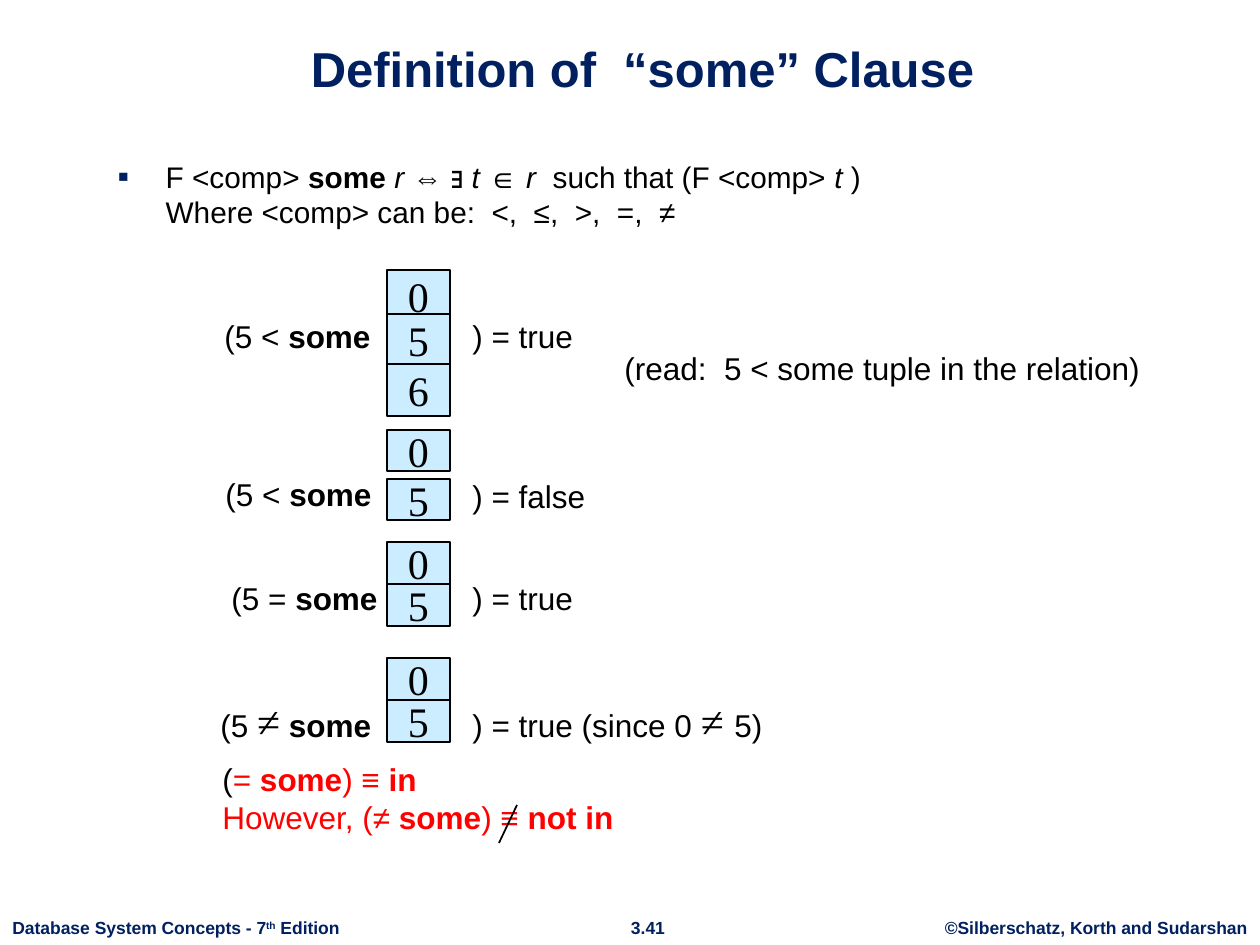
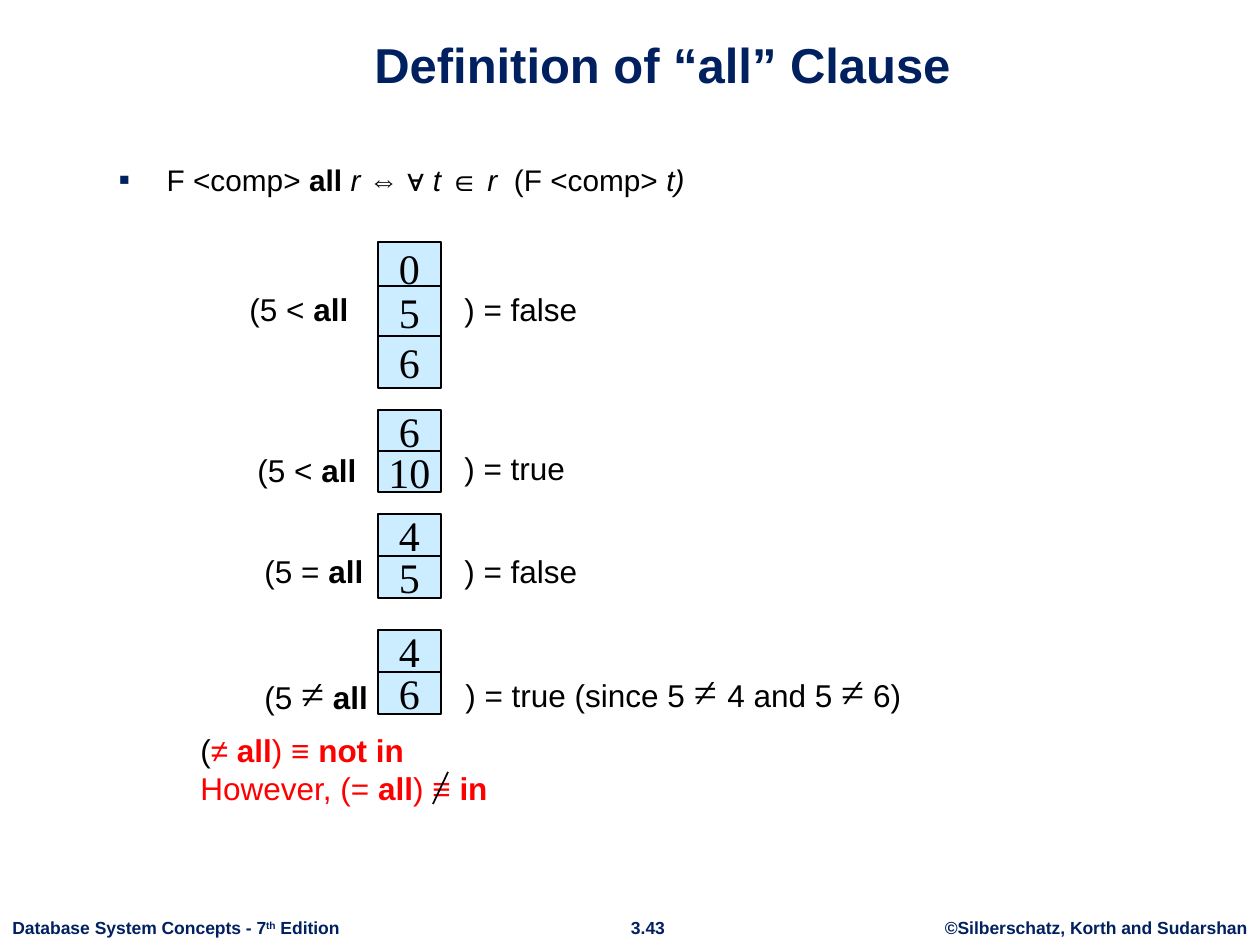
from lxml import etree
from pptx import Presentation
from pptx.dml.color import RGBColor
from pptx.enum.shapes import MSO_CONNECTOR, MSO_SHAPE
from pptx.enum.text import MSO_ANCHOR, MSO_AUTO_SIZE, PP_ALIGN
from pptx.oxml.ns import qn
from pptx.util import Pt

EMU_PER_PX = 914400 / 126
COLORS = {"navy": "002060", "cell": "CCECFF", "black": "000000", "red": "FF0000"}
STYLES = {
    "plain": {},
    "bold": {"bold": True},
    "italic": {"italic": True},
    "symbol": {"size": 24, "font": "Times New Roman"},
    "red": {"color": "red"},
    "red bold": {"color": "red", "bold": True},
}
CELL_W = 63


def px(n):
    return round(n * EMU_PER_PX)


def rgb(name):
    return RGBColor.from_string(COLORS[name])


def write(p, text, size=18, font="Arial", color="black", bold=False, italic=False, raised=False):
    r = p.add_run()
    r.text = text
    f = r.font
    f.size, f.name, f.bold, f.italic = Pt(size), font, bold, italic
    f.color.rgb = rgb(color)
    if raised:
        r._r.get_or_add_rPr().set("baseline", "30000")


def write_parts(p, parts, **base):
    """Write (text, style) pairs; a newline alone breaks the line."""
    for text, style in parts:
        if text == "\n":
            p.add_line_break()
        else:
            write(p, text, **{**base, **STYLES[style]})


def add_text(s, x, y, w, h, wrap=True, align=PP_ALIGN.LEFT):
    """Add an empty text box and return its text frame."""
    tf = s.shapes.add_textbox(px(x), px(y), px(w), px(h)).text_frame
    tf.word_wrap = wrap
    tf.paragraphs[0].alignment = align
    return tf


def add_label(s, x, y, w, parts, h=50):
    write_parts(add_text(s, x, y, w, h).paragraphs[0], parts)


def place(sp, x, y, w, h, anchor):
    sp.left, sp.top, sp.width, sp.height = px(x), px(y), px(w), px(h)
    tf = sp.text_frame
    tf.auto_size = MSO_AUTO_SIZE.NONE
    tf.word_wrap = True
    tf.vertical_anchor = anchor
    return tf.paragraphs[0]


def add_title(s, x, y, text):
    p = place(s.shapes.title, x, y, 1113, 84, MSO_ANCHOR.BOTTOM)
    p.alignment = PP_ALIGN.CENTER
    write(p, text, size=28, color="navy", bold=True)


def set_bullet(p, char):
    pPr = p._p.get_or_add_pPr()
    pPr.set("marL", str(px(48)))
    pPr.set("indent", str(-px(48)))
    color = etree.SubElement(pPr, qn("a:buClr"))
    etree.SubElement(color, qn("a:srgbClr")).set("val", COLORS["navy"])
    etree.SubElement(pPr, qn("a:buSzPct")).set("val", "110000")
    etree.SubElement(pPr, qn("a:buFont")).set("typeface", "Arial")
    etree.SubElement(pPr, qn("a:buChar")).set("char", char)


def add_definition(s, x, y, w, h, parts):
    p = place(s.placeholders[1], x, y, w, h, MSO_ANCHOR.TOP)
    set_bullet(p, "▪")
    p.space_before = Pt(0)
    write_parts(p, parts, size=17)


def add_relation(s, x, tops, h, values):
    """Stack one cell for each value of a single-column relation."""
    for top, value in zip(tops, values):
        sp = s.shapes.add_shape(MSO_SHAPE.RECTANGLE, px(x), px(top), px(CELL_W), px(h))
        sp.shadow.inherit = False
        sp.fill.solid()
        sp.fill.fore_color.rgb = rgb("cell")
        sp.line.color.rgb = rgb("black")
        sp.line.width = Pt(1)
        tf = sp.text_frame
        tf.word_wrap = False
        tf.vertical_anchor = MSO_ANCHOR.MIDDLE
        tf.paragraphs[0].alignment = PP_ALIGN.CENTER
        write(tf.paragraphs[0], value, **STYLES["symbol"])


def add_conclusion(s, x, y, lines):
    tf = add_text(s, x, y, 937, 98)
    for i, parts in enumerate(lines):
        write_parts(tf.add_paragraph() if i else tf.paragraphs[0], parts)


def add_strike(s, x1, y1, x2, y2):
    line = s.shapes.add_connector(MSO_CONNECTOR.STRAIGHT, px(x1), px(y1), px(x2), px(y2))
    line.line.color.rgb = rgb("black")
    line.line.width = Pt(1)
    etree.SubElement(line._element.spPr, qn("a:effectLst"))


def add_footer(s, number):
    fmt = {"size": 10, "color": "navy", "bold": True}
    y, h = 911, 34
    for x, w, text in ((932, 328, "©Silberschatz, Korth and Sudarshan"), (617, 62, number)):
        write(add_text(s, x, y, w, h, False, PP_ALIGN.CENTER).paragraphs[0], text, **fmt)
    p = add_text(s, 0, y, 354, h, False).paragraphs[0]
    write(p, "Database System Concepts - 7", **fmt)
    write(p, "th", raised=True, **fmt)
    write(p, " Edition", **fmt)


def plain(text):
    return [(text, "plain")]


def compare(sign, quantifier):
    return [(f"(5 {sign} ", "plain"), (quantifier, "bold")]


def differ(quantifier):
    return [("(5 ", "plain"), ("≠", "symbol"), (" ", "plain"), (quantifier, "bold")]


def equivalence(start, quantifier, result):
    return [*start, (quantifier, "red bold"), (") ≡ ", "red"), (result, "red bold")]


def build_some(s):
    add_title(s, 86, 20, "Definition of  “some” Clause")
    add_definition(s, 105, 152, 937, 98, [
        ("F <comp> ", "plain"), ("some ", "bold"), ("r ", "italic"), ("⇔ ∃ ", "plain"),
        ("t ", "italic"), ("∈", "plain"), (" r  ", "italic"),
        ("such that (F <comp> ", "plain"), ("t ", "italic"), (")", "plain"), ("\n", "plain"),
        ("Where <comp> can be:  <,  ≤,  >,  =,  ≠", "plain")])
    for tops, h, values in (((270, 314, 364), 52, "056"), ((430, 479), 41, "05"),
                            ((542, 584), 42, "05"), ((658, 700), 42, "05")):
        add_relation(s, 387, tops, h, values)
    for x, y, sign in ((212, 311, "<"), (213, 469, "<"), (219, 573, "=")):
        add_label(s, x, y, 200, compare(sign, "some"))
    for y, result in ((311, "true"), (471, "false"), (573, "true")):
        add_label(s, 460, y, 168, plain(f") = {result}"))
    add_label(s, 208, 689, 199, differ("some"), h=63)
    add_label(s, 460, 689, 346, [
        (") = true (since 0 ", "plain"), ("≠ ", "symbol"), ("5)", "plain")], h=63)
    add_label(s, 612, 343, 640, plain("(read:  5 < some tuple in the relation)"))
    add_conclusion(s, 210, 754, [
        equivalence([("(", "plain"), ("= ", "red")], "some", "in"),
        equivalence([("However, (≠ ", "red")], "some", "not in")])
    add_strike(s, 517, 805, 499, 843)


def build_all(s):
    add_title(s, 106, 16, "Definition of “all” Clause")
    add_definition(s, 106, 155, 922, 53, [
        ("F <comp> ", "plain"), ("all ", "bold"), ("r ", "italic"), ("⇔ ∀ ", "plain"),
        ("t ", "italic"), ("∈", "plain"), (" r ", "italic"), (" (F <comp> ", "plain"),
        ("t)", "italic")])
    for tops, h, values in (((242, 286, 336), 52, "056"), ((410, 451), 41, ("6", "10")),
                            ((514, 556), 42, "45"), ((630, 672), 42, "46")):
        add_relation(s, 378, tops, h, values)
    for x, y, sign in ((237, 284, "<"), (245, 445, "<"), (252, 546, "=")):
        add_label(s, x, y, 168, compare(sign, "all"))
    for y, result in ((284, "false"), (443, "true"), (546, "false")):
        add_label(s, 452, y, 168, plain(f") = {result}"))
    add_label(s, 252, 661, 231, differ("all"), h=63)
    add_label(s, 453, 659, 630, [
        (") = true (since 5 ", "plain"), ("≠ ", "symbol"), ("4 and 5 ", "plain"),
        ("≠", "symbol"), (" 6)", "plain")], h=63)
    add_conclusion(s, 188, 725, [
        equivalence([("(", "plain"), ("≠ ", "red")], "all", "not in"),
        equivalence([("However, (= ", "red")], "all", "in")])
    add_strike(s, 448, 772, 433, 804)


def main():
    prs = Presentation()
    prs.slide_width, prs.slide_height = px(1260), px(945)
    for number, build in (("3.41", build_some), ("3.43", build_all)):
        s = prs.slides.add_slide(prs.slide_layouts[1])
        add_footer(s, number)
        build(s)
    prs.save("out.pptx")


if __name__ == "__main__":
    main()
